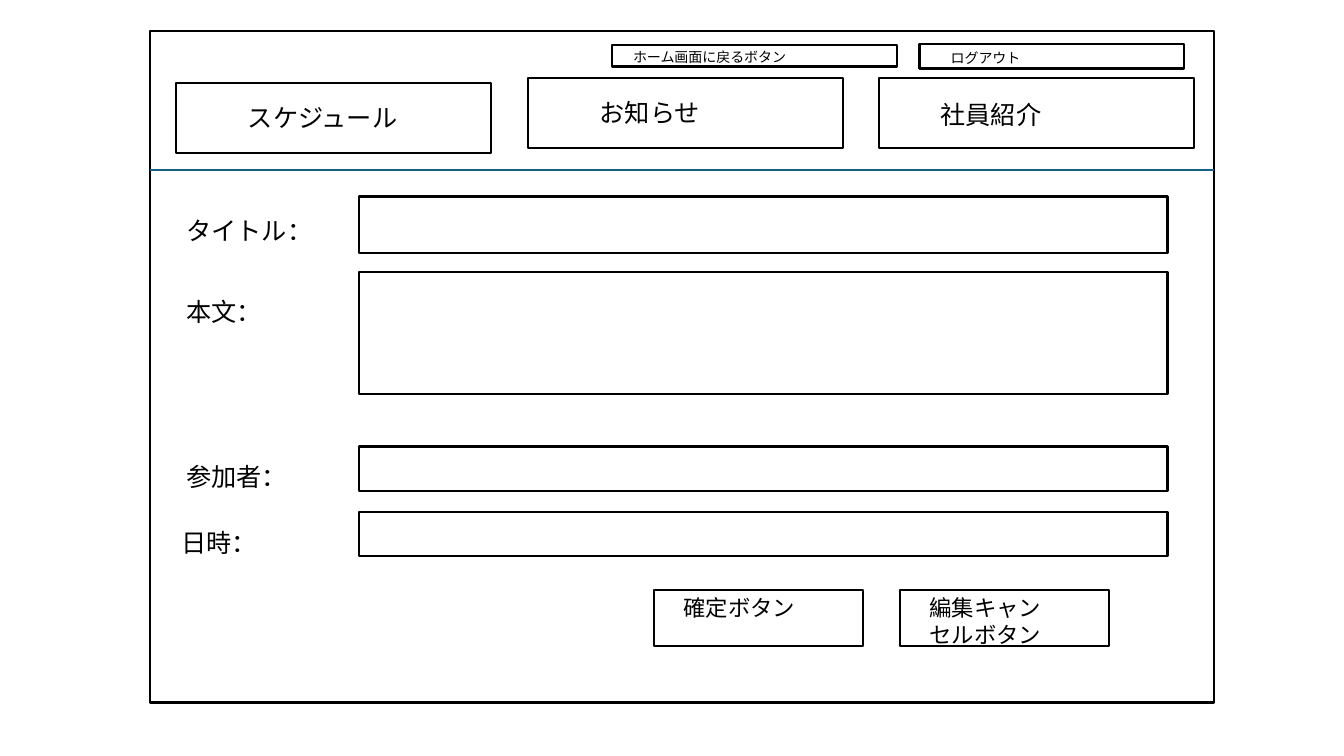
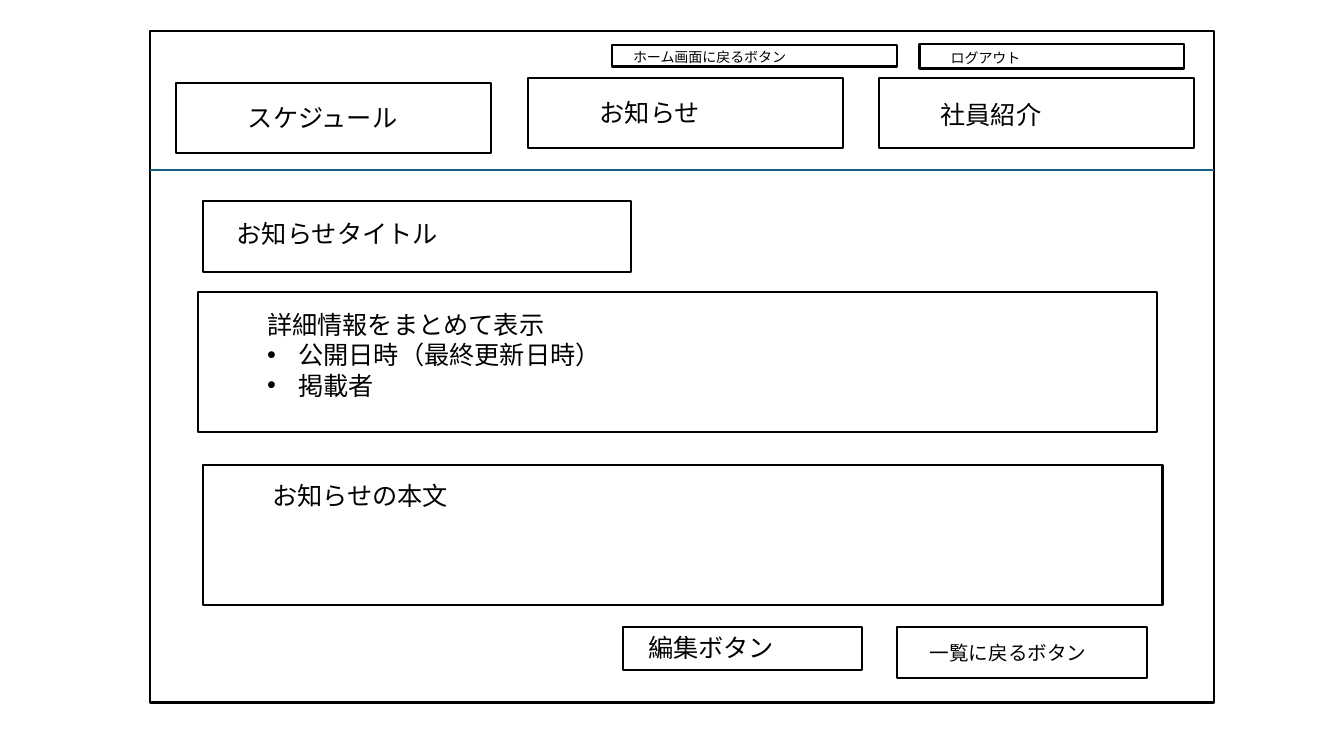
from lxml import etree
from pptx import Presentation
from pptx.dml.color import RGBColor
from pptx.enum.shapes import MSO_CONNECTOR, MSO_SHAPE
from pptx.enum.text import MSO_AUTO_SIZE, PP_ALIGN
from pptx.oxml.ns import qn
from pptx.util import Inches, Pt

RECTANGLE = MSO_SHAPE.RECTANGLE
STRAIGHT = MSO_CONNECTOR.STRAIGHT
GROW = MSO_AUTO_SIZE.SHAPE_TO_FIT_TEXT
LEFT = PP_ALIGN.LEFT


def color(value):
    return RGBColor.from_string(value)


class Wireframe:
    """Draws screen wireframes in one shared style."""

    font = "Noto Sans CJK JP"
    ink = "000000"
    paper = "FFFFFF"
    accent = "156082"
    stroke = Pt(1.5)
    indent = Inches(0.31)

    def __init__(self):
        self.deck = Presentation()
        self.deck.slide_width = Inches(13.33)
        self.deck.slide_height = Inches(7.5)
        self.slide = None

    def screen(self):
        self.slide = self.deck.slides.add_slide(self.deck.slide_layouts[6])
        self.box((1.49, 0.31, 10.55, 6.66))
        self.divider(1.49, 12.04, 1.69)
        menu = [
            ("スケジュール", 1.75, 0.82, 2.36, 0.97),
            ("お知らせ", 5.24, 0.77, 5.85, 0.92),
            ("社員紹介", 8.72, 0.77, 9.23, 0.94),
        ]
        for caption, left, top, text_left, text_top in menu:
            self.button(caption, (left, top, 3.12, 0.7), (text_left, text_top, 2.51, 0.4))
        self.button("ログアウト", (9.12, 0.44, 2.62, 0.24), (9.33, 0.44, 2.05, 0.27), 10)
        self.button("ホーム画面に戻るボタン", (6.07, 0.45, 2.83, 0.21), (6.18, 0.43, 2.05, 0.27), 10)

    def box(self, area, parent=None):
        shapes = (parent or self.slide).shapes
        outline = shapes.add_shape(RECTANGLE, *map(Inches, area))
        outline.shadow.inherit = False
        outline.fill.solid()
        outline.fill.fore_color.rgb = color(self.paper)
        outline.line.color.rgb = color(self.ink)
        outline.line.width = self.stroke

    def label(self, text, area, size=18, parent=None):
        shapes = (parent or self.slide).shapes
        frame = shapes.add_textbox(*map(Inches, area)).text_frame
        frame.word_wrap = True
        frame.auto_size = GROW
        frame.text = text
        for paragraph in frame.paragraphs:
            paragraph.alignment = LEFT
            for run in paragraph.runs:
                run.font.size = Pt(size)
                run.font.name = self.font
                run.font.color.rgb = color(self.ink)
                east_asian = etree.SubElement(run.font._element, qn("a:ea"))
                east_asian.set("typeface", self.font)
        return frame

    def button(self, text, area, text_area, size=18):
        group = self.slide.shapes.add_group_shape()
        self.box(area, group)
        return self.label(text, text_area, size, group)

    def bullet(self, paragraph):
        properties = paragraph._p.get_or_add_pPr()
        properties.set("marL", str(self.indent))
        properties.set("indent", str(-self.indent))
        etree.SubElement(properties, qn("a:buFont")).set("typeface", "Arial")
        etree.SubElement(properties, qn("a:buChar")).set("char", "•")

    def divider(self, left, right, top):
        line = self.slide.shapes.add_connector(
            STRAIGHT, Inches(left), Inches(top), Inches(right), Inches(top)
        )
        line.line.color.rgb = color(self.accent)
        line.line.width = self.stroke
        etree.SubElement(line._element.spPr, qn("a:effectLst"))


def edit_screen(wireframe):
    wireframe.screen()
    fields = [
        ("タイトル：", 1.75, 2.09, 1.66, 1.95, 0.56),
        ("本文：", 1.75, 2.89, 1.32, 2.7, 1.21),
        ("参加者：", 1.75, 4.53, 1.32, 4.43, 0.44),
        ("日時：", 1.7, 5.18, 1.32, 5.08, 0.44),
    ]
    for caption, left, top, width, field_top, field_height in fields:
        wireframe.label(caption, (left, top, width, 0.4))
        wireframe.box((3.56, field_top, 8.02, field_height))
    actions = [("確定ボタン", 6.49, 0.37), ("編集キャンセルボタン", 8.93, 0.64)]
    for caption, left, text_height in actions:
        wireframe.button(
            caption, (left, 5.85, 2.07, 0.56), (left + 0.19, 5.85, 1.5, text_height), 16
        )


def notice_screen(wireframe):
    wireframe.screen()
    wireframe.button("お知らせタイトル", (2.01, 1.99, 4.25, 0.71), (2.25, 2.12, 3.51, 0.4))
    details = wireframe.button(
        "詳細情報をまとめて表示\n公開日時（最終更新日時）\n掲載者",
        (1.96, 2.9, 9.52, 1.39),
        (2.55, 3.02, 8.65, 1.01),
    )
    for item in details.paragraphs[1:]:
        wireframe.bullet(item)
    wireframe.button("お知らせの本文", (2.01, 4.61, 9.52, 1.39), (2.6, 4.72, 8.65, 0.4))
    wireframe.button("編集ボタン", (6.18, 6.22, 2.37, 0.43), (6.33, 6.22, 1.9, 0.4))
    wireframe.button("一覧に戻るボタン", (8.9, 6.22, 2.48, 0.51), (9.12, 6.31, 1.91, 0.34), 14)


def main():
    wireframe = Wireframe()
    edit_screen(wireframe)
    notice_screen(wireframe)
    wireframe.deck.save("out.pptx")


if __name__ == "__main__":
    main()
